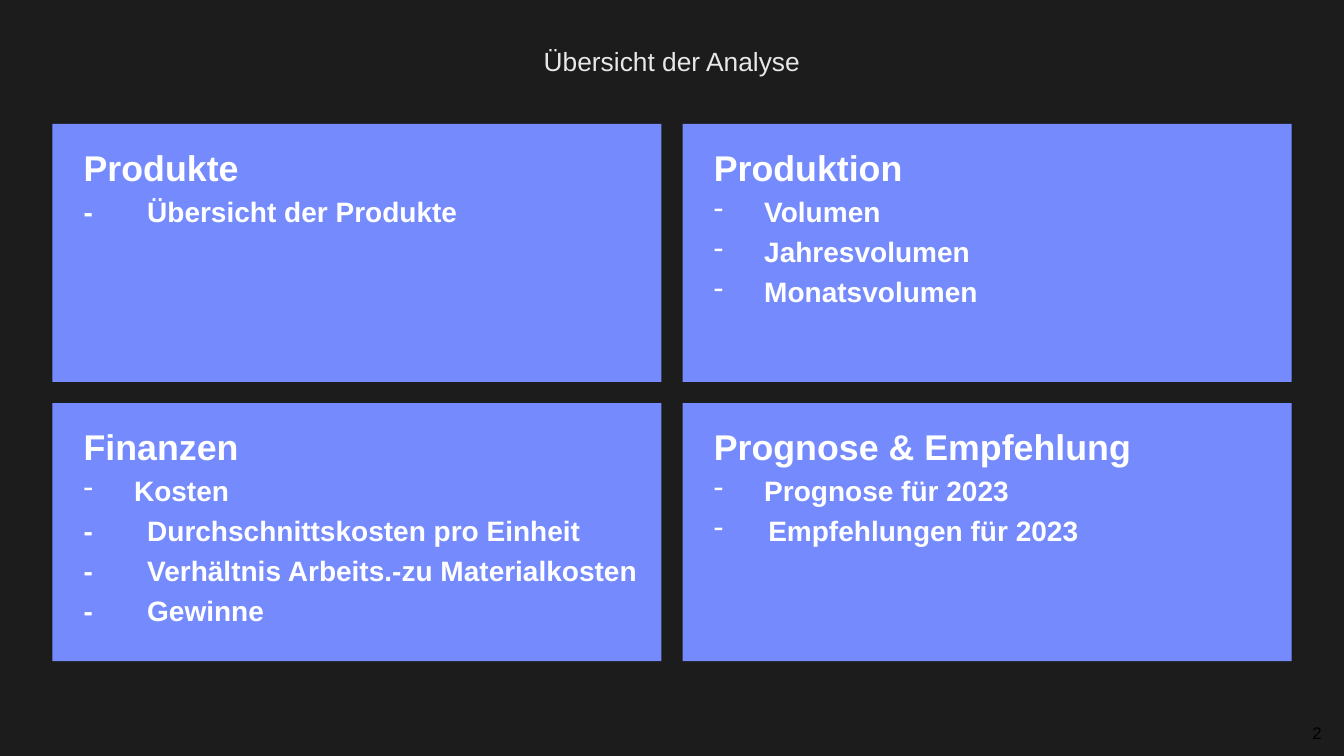
from pptx import Presentation
from pptx.dml.color import RGBColor
from pptx.enum.shapes import MSO_SHAPE
from pptx.enum.text import PP_ALIGN
from pptx.oxml.ns import qn
from pptx.util import Inches, Pt
from lxml import etree

RECTANGLE = MSO_SHAPE.RECTANGLE
LEFT, CENTER, RIGHT = PP_ALIGN.LEFT, PP_ALIGN.CENTER, PP_ALIGN.RIGHT

BACKGROUND = RGBColor(0x1C, 0x1C, 0x1C)
CARD_FILL = RGBColor(0x75, 0x8B, 0xFD)
WHITE = RGBColor(0xFF, 0xFF, 0xFF)
BLACK = RGBColor(0x00, 0x00, 0x00)

SLIDE_WIDTH, SLIDE_HEIGHT = 13.33, 7.5
GRID_LEFT, GRID_TOP = 0.52, 1.23
CARD_WIDTH, CARD_HEIGHT, GAP = 6.04, 2.56, 0.21
PADDING_LEFT, PADDING_TOP = 0.31, 0.24
BULLET_INDENT, WIDE_INDENT, TYPED_INDENT = 0.5, 0.54, 0.63

# Each point: text, indent; typed dashes are bold like their text.
CARDS = [
    ("Produkte", [("Übersicht der Produkte", TYPED_INDENT)]),
    ("Produktion", [("Volumen", BULLET_INDENT),
                    ("Jahresvolumen", BULLET_INDENT),
                    ("Monatsvolumen", BULLET_INDENT)]),
    ("Finanzen", [("Kosten", BULLET_INDENT),
                  ("Durchschnittskosten pro Einheit", TYPED_INDENT),
                  ("Verhältnis Arbeits.-zu Materialkosten", TYPED_INDENT),
                  ("Gewinne", TYPED_INDENT)]),
    ("Prognose & Empfehlung", [("Prognose für 2023", BULLET_INDENT),
                               ("Empfehlungen für 2023", WIDE_INDENT)]),
]


class OverviewSlide:
    font_name = "Arial"
    card_spacing = Pt(28.6)

    def __init__(self, presentation):
        self.slide = presentation.slides.add_slide(presentation.slide_layouts[6])
        fill = self.slide.background.fill
        fill.solid()
        fill.fore_color.rgb = BACKGROUND

    def text_frame(self, left, top, width, height):
        box = self.slide.shapes.add_textbox(
            Inches(left), Inches(top), Inches(width), Inches(height))
        frame = box.text_frame
        frame.word_wrap = True
        frame.margin_left = frame.margin_right = 0
        frame.margin_top = frame.margin_bottom = 0
        return frame

    def set_paragraph(self, paragraph, text, size, spacing, color=WHITE,
                      bold=False, alignment=LEFT):
        paragraph.text = text
        paragraph.alignment = alignment
        paragraph.line_spacing = spacing
        font = paragraph.runs[0].font
        font.name, font.size, font.bold = self.font_name, Pt(size), bold
        font.color.rgb = color

    def title(self, text):
        frame = self.text_frame(0, 0.47, SLIDE_WIDTH, 0.29)
        paragraph = frame.paragraphs[0]
        self.set_paragraph(paragraph, text, 18.8, Pt(21), alignment=CENTER)
        for color in paragraph._p.iter(qn("a:srgbClr")):
            etree.SubElement(color, qn("a:alpha")).set("val", "90000")

    def point(self, paragraph, text, indent):
        typed = indent == TYPED_INDENT
        self.set_paragraph(paragraph, "-\t" + text if typed else text, 20,
                           self.card_spacing, bold=True)
        properties = paragraph._p.get_or_add_pPr()
        properties.set("marL", str(Inches(indent)))
        properties.set("indent", str(-Inches(indent)))
        if not typed:
            etree.SubElement(properties, qn("a:buFontTx"))
            etree.SubElement(properties, qn("a:buChar")).set("char", "-")

    def card(self, column, row, heading, points):
        left = GRID_LEFT + column * (CARD_WIDTH + GAP)
        top = GRID_TOP + row * (CARD_HEIGHT + GAP)
        shape = self.slide.shapes.add_shape(
            RECTANGLE, Inches(left), Inches(top),
            Inches(CARD_WIDTH), Inches(CARD_HEIGHT))
        shape.shadow.inherit = False
        shape.fill.solid()
        shape.fill.fore_color.rgb = CARD_FILL
        shape.line.fill.background()

        frame = self.text_frame(left + PADDING_LEFT, top + PADDING_TOP, 6.07, 0.4)
        self.set_paragraph(frame.paragraphs[0], heading, 25.5,
                           self.card_spacing, bold=True)
        for text, indent in points:
            self.point(frame.add_paragraph(), text, indent)

    def page_number(self, number):
        frame = self.text_frame(SLIDE_WIDTH - 0.72, 7.17, 0.5, 0.2)
        self.set_paragraph(frame.paragraphs[0], str(number), 12, 1.0, BLACK,
                           alignment=RIGHT)


def main():
    presentation = Presentation()
    presentation.slide_width = Inches(SLIDE_WIDTH)
    presentation.slide_height = Inches(SLIDE_HEIGHT)
    overview = OverviewSlide(presentation)
    overview.title("Übersicht der Analyse")
    for index, (heading, points) in enumerate(CARDS):
        row, column = divmod(index, 2)
        overview.card(column, row, heading, points)
    overview.page_number(2)
    presentation.save("out.pptx")


if __name__ == "__main__":
    main()
